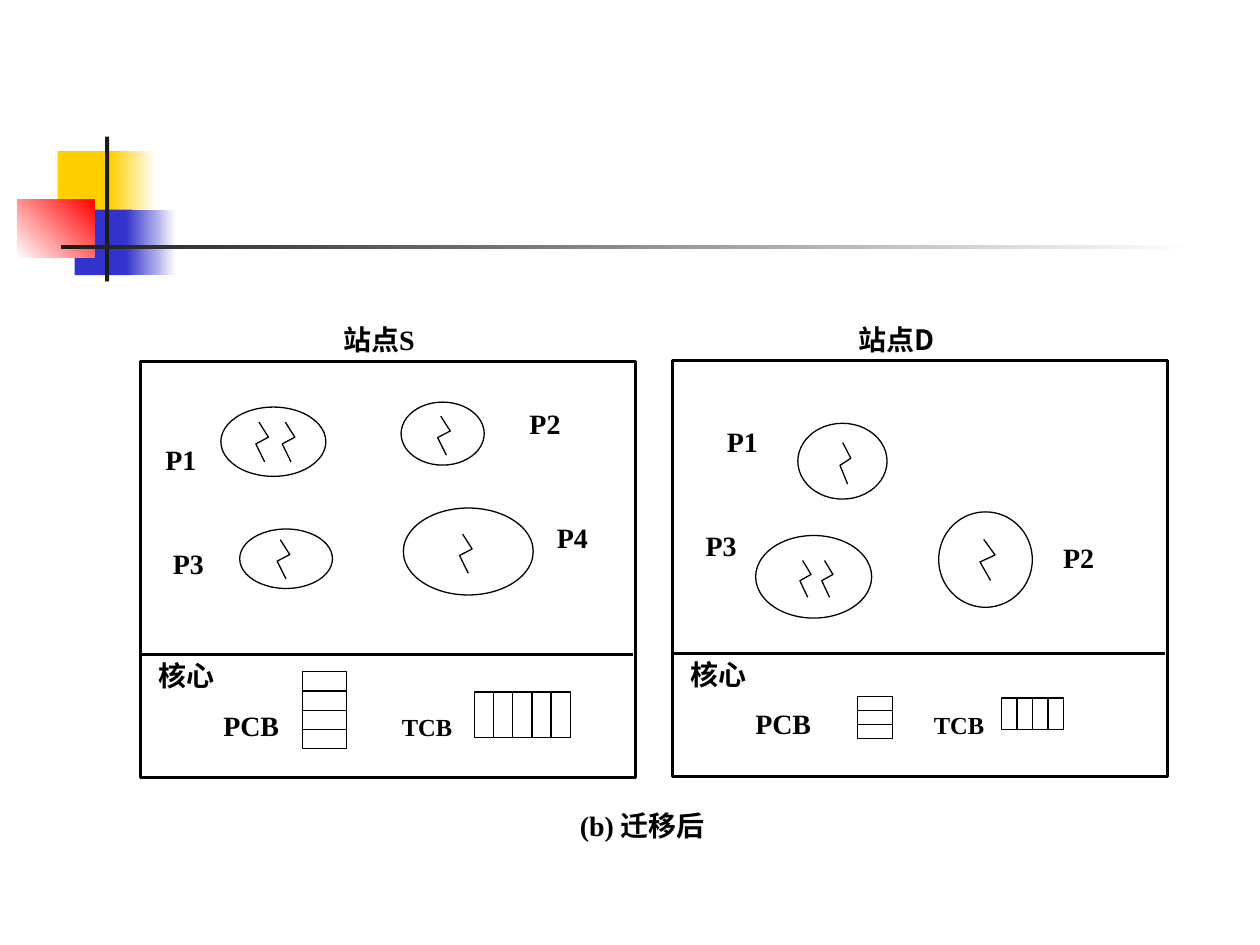
from dataclasses import dataclass
from typing import Optional

import lxml.etree
import pptx
import pptx.dml.color
import pptx.enum.shapes
import pptx.enum.text
import pptx.oxml.ns
import pptx.util

Pt = pptx.util.Pt
RGB = pptx.dml.color.RGBColor
SHAPE = pptx.enum.shapes.MSO_SHAPE
ALIGN = pptx.enum.text.PP_ALIGN
qn = pptx.oxml.ns.qn


@dataclass(frozen=True)
class Theme:
    ink: RGB = RGB(0, 0, 0)
    charcoal: RGB = RGB(0x1C, 0x1C, 0x1C)
    yellow: RGB = RGB(0xFF, 0xCF, 0x01)
    blue: RGB = RGB(0x33, 0x33, 0xCC)
    red: RGB = RGB(0xFF, 0, 0)
    white: RGB = RGB(0xFF, 0xFF, 0xFF)
    latin: str = "Times New Roman"
    chinese: str = "Noto Sans CJK SC"
    text: float = 16
    small: float = 14
    thin: float = 0.75
    thick: float = 1.75


THEME = Theme()


@dataclass(frozen=True)
class Box:
    left: float
    top: float
    width: float
    height: float

    def shifted(self, x: float, y: float) -> "Box":
        return Box(self.left + x, self.top + y, self.width, self.height)

    def lengths(self) -> tuple:
        return Pt(self.left), Pt(self.top), Pt(self.width), Pt(self.height)


@dataclass(frozen=True)
class Span:
    text: str
    face: str = THEME.latin


@dataclass(frozen=True)
class Process:
    name: str
    label: tuple
    oval: Box
    threads: tuple


@dataclass(frozen=True)
class Site:
    """One machine; every box inside it is measured from its frame's corner."""
    left: float
    top: float
    title: tuple
    title_left: float
    processes: tuple
    pcb: Box
    pcb_rows: int
    tcb: Box
    tcb_columns: int


@dataclass(frozen=True)
class Ornament:
    box: Box
    start: RGB
    end: Optional[RGB] = None
    angle: float = 0


ORNAMENTS = (
    Ornament(Box(33, 86.4, 34.6, 37.4), THEME.yellow),
    Ornament(Box(63, 86.4, 26, 37.4), THEME.yellow, THEME.white),
    Ornament(Box(42.6, 119.8, 33.1, 37.4), THEME.blue),
    Ornament(Box(72, 119.8, 28.8, 37.4), THEME.blue, THEME.white),
    Ornament(Box(9.8, 113.8, 44.4, 33.4), THEME.white, THEME.red, 45),
    Ornament(Box(60, 78, 2.4, 82.8), THEME.charcoal),
    Ornament(Box(34.8, 140, 648, 2.5), THEME.charcoal, THEME.white),
)

SITES = (
    Site(80.2, 206.6, (Span("站点", THEME.chinese), Span("S")), 102.8, (
        Process("P1", (13, 45.4), Box(46, 26, 60, 39.6),
                (Box(66, 34.6, 7.2, 22.7), Box(81.1, 34.6, 7.2, 22.7))),
        Process("P2", (221, 25.2), Box(149, 23.2, 47.5, 36), (Box(169.9, 31.2, 7.2, 22.3),)),
        Process("P3", (17.2, 105.2), Box(56.8, 95.7, 53, 34), (Box(78.2, 101.8, 7.2, 22.3),)),
        Process("P4", (236.6, 90), Box(150.3, 83.7, 74.2, 49.7), (Box(182.4, 98.6, 7.2, 22.3),)),
    ), Box(92.7, 177.3, 25.2, 44), 4, Box(190.9, 188.8, 54.8, 26), 5),
    Site(384.2, 205.9, (Span("站点D", THEME.chinese),), 94.7, (
        Process("P1", (29.8, 36.2), Box(71.7, 36, 51, 43.3), (Box(95.8, 47, 6.2, 23.7),)),
        Process("P2", (222, 102.4), Box(152.2, 86.6, 53.5, 54.5), (Box(175.8, 102.3, 8.6, 23.5),)),
        Process("P3", (17.6, 95.2), Box(47.6, 100.1, 66.3, 47.2),
                (Box(72.9, 114.4, 6.4, 21), Box(85.4, 114.4, 6.4, 21))),
    ), Box(105.8, 192.2, 20.2, 24), 3, Box(188.2, 193, 35.3, 18), 4),
)

FRAME_WIDTH, FRAME_HEIGHT, KERNEL_TOP = 283, 237.6, 167.3
BOLT = ((0.25, 0), (1, 0.38), (0, 0.55), (0.7, 1))  # shares of width and height


def outline(shape, weight: float) -> None:
    shape.shadow.inherit = False
    shape.fill.background()
    shape.line.color.rgb = THEME.ink
    shape.line.width = Pt(weight)


def draw_outlined(shapes, kind, box: Box, weight: float = THEME.thin):
    shape = shapes.add_shape(kind, *box.lengths())
    outline(shape, weight)
    return shape


def draw_line(shapes, x1: float, y1: float, x2: float, y2: float, weight: float = THEME.thin):
    line = shapes.add_connector(pptx.enum.shapes.MSO_CONNECTOR.STRAIGHT,
                                Pt(x1), Pt(y1), Pt(x2), Pt(y2))
    line.line.color.rgb = THEME.ink
    line.line.width = Pt(weight)
    lxml.etree.SubElement(line._element.spPr, qn("a:effectLst"))
    return line


def set_typeface(font, face: str) -> None:
    """Use one face for both Latin and East Asian letters."""
    font.name = face
    lxml.etree.SubElement(font._rPr, qn("a:ea")).set("typeface", face)


def draw_text(shapes, box: Box, spans: tuple, size: float = THEME.text,
              align=ALIGN.LEFT, margins: tuple = (1.4, 0.7)) -> None:
    frame = shapes.add_textbox(*box.lengths()).text_frame
    frame.word_wrap = True
    frame.margin_left = frame.margin_right = Pt(margins[0])
    frame.margin_top = frame.margin_bottom = Pt(margins[1])
    para = frame.paragraphs[0]
    para.alignment = align
    para.font.size = Pt(size)
    para.font.bold = True
    para.font.color.rgb = THEME.ink
    if len(spans) == 1:
        set_typeface(para.font, spans[0].face)
    for span in spans:
        run = para.add_run()
        run.text = span.text
        if len(spans) > 1:
            set_typeface(run.font, span.face)


def draw_heading(shapes, box: Box, spans: tuple) -> None:
    draw_text(shapes, box, spans, align=ALIGN.CENTER, margins=(7.2, 3.6))


def draw_thread(shapes, box: Box) -> None:
    points = [(Pt(box.left + x * box.width), Pt(box.top + y * box.height)) for x, y in BOLT]
    builder = shapes.build_freeform(*points[0])
    builder.add_line_segments(points[1:], close=False)
    outline(builder.convert_to_shape(), THEME.thin)


def draw_cells(shapes, box: Box, count: int, stacked: bool) -> None:
    """Draw a box cut into equal rows (stacked) or columns."""
    block = draw_outlined(shapes, SHAPE.RECTANGLE, box)
    right, bottom = box.left + box.width, box.top + box.height
    for index in range(1, count):
        if stacked:
            y = box.top + box.height * index / count
            line, sides = draw_line(shapes, box.left, y, right, y), (1, 3)
        else:
            x = box.left + box.width * index / count
            line, sides = draw_line(shapes, x, box.top, x, bottom), (0, 2)
        if 2 * index == count:
            line.begin_connect(block, sides[0])
            line.end_connect(block, sides[1])


def draw_site(page, site: Site) -> None:
    shapes = page.shapes.add_group_shape().shapes
    x, y = site.left, site.top
    draw_outlined(shapes, SHAPE.RECTANGLE, Box(x, y, FRAME_WIDTH, FRAME_HEIGHT), THEME.thick)
    draw_line(shapes, x, y + KERNEL_TOP, x + FRAME_WIDTH - 1.5, y + KERNEL_TOP, THEME.thick)
    for process in site.processes:
        draw_outlined(shapes, SHAPE.OVAL, process.oval.shifted(x, y))
        for thread in process.threads:
            draw_thread(shapes, thread.shifted(x, y))
        draw_text(shapes, Box(*process.label, 36, 20).shifted(x, y), (Span(process.name),))
    draw_heading(shapes, Box(-2, 166, 57, 32).shifted(x, y), (Span("核心", THEME.chinese),))
    draw_text(shapes, Box(46, 197.3, 40, 22).shifted(x, y), (Span("PCB"),))
    draw_text(shapes, Box(148, 199.3, 35, 22).shifted(x, y), (Span("TCB"),), THEME.small)
    draw_cells(shapes, site.pcb.shifted(x, y), site.pcb_rows, True)
    draw_cells(shapes, site.tcb.shifted(x, y), site.tcb_columns, False)
    draw_heading(page.shapes, Box(x + site.title_left, 180.7, 67, 24), site.title)


def draw_ornament(shapes, ornament: Ornament) -> None:
    shape = shapes.add_shape(SHAPE.RECTANGLE, *ornament.box.lengths())
    shape.shadow.inherit = False
    shape.line.fill.background()
    if ornament.end is None:
        shape.fill.solid()
        shape.fill.fore_color.rgb = ornament.start
        return
    shape.fill.gradient()
    shape.fill.gradient_angle = ornament.angle
    for stop, color in zip(shape.fill.gradient_stops, (ornament.start, ornament.end)):
        stop.color.rgb = color


def main() -> None:
    deck = pptx.Presentation()
    deck.slide_width, deck.slide_height = Pt(720), Pt(540)
    page = deck.slides.add_slide(deck.slide_layouts[6])
    for ornament in ORNAMENTS:
        draw_ornament(page.shapes, ornament)
    for site in SITES:
        draw_site(page, site)
    draw_heading(page.shapes, Box(312, 458.6, 110, 22),
                 (Span("(b) "), Span("迁移后", THEME.chinese)))
    deck.save("out.pptx")


if __name__ == "__main__":
    main()
